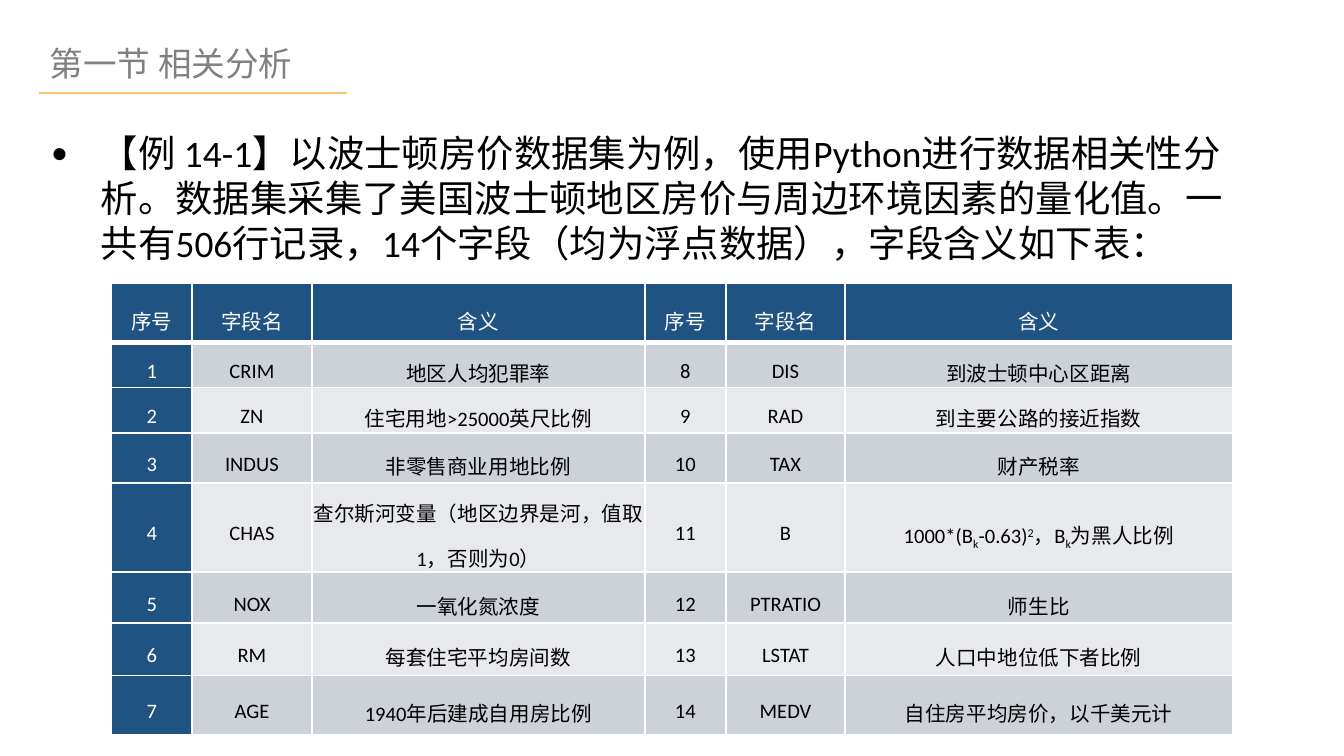
"""Build the Boston housing field table slide."""
from dataclasses import dataclass

from lxml import etree
from pptx import Presentation
from pptx.dml.color import RGBColor
from pptx.enum.shapes import MSO_CONNECTOR
from pptx.enum.text import MSO_ANCHOR, MSO_AUTO_SIZE, PP_ALIGN
from pptx.oxml.ns import qn
from pptx.util import Inches, Pt

STRAIGHT = MSO_CONNECTOR.STRAIGHT
TOP, MIDDLE = MSO_ANCHOR.TOP, MSO_ANCHOR.MIDDLE
LEFT, CENTER = PP_ALIGN.LEFT, PP_ALIGN.CENTER
NO_FIT = MSO_AUTO_SIZE.NONE
NAVY, WHITE, BLACK = "205381", "FFFFFF", "000000"
BANDS = ("CDD1D8", "E8E9ED")
COLS = (0.6, 0.89, 2.48, 0.6, 0.89, 2.88)
ROWS = (0.44, 0.33, 0.34, 0.37, 0.65, 0.38, 0.39, 0.44)
HEADER = ("序号", "字段名", "含义")
SUB, SUPER = -25, 30
FORMULA = (("1000*(B", 0), ("k", SUB), ("-0.63)", 0), ("2", SUPER),
           ("，B", 0), ("k", SUB), ("为黑人比例", 0))


@dataclass
class Field:
    name: str
    meaning: str | tuple


@dataclass
class Block:
    text: str
    box: tuple
    font: str
    size: float
    color: str
    margins: tuple
    anchor: MSO_ANCHOR
    wrap: bool


FIELDS = [
    Field("CRIM", "地区人均犯罪率"),
    Field("ZN", "住宅用地>25000英尺比例"),
    Field("INDUS", "非零售商业用地比例"),
    Field("CHAS", "查尔斯河变量（地区边界是河，值取1，否则为0）"),
    Field("NOX", "一氧化氮浓度"),
    Field("RM", "每套住宅平均房间数"),
    Field("AGE", "1940年后建成自用房比例"),
    Field("DIS", "到波士顿中心区距离"),
    Field("RAD", "到主要公路的接近指数"),
    Field("TAX", "财产税率"),
    Field("B", FORMULA),
    Field("PTRATIO", "师生比"),
    Field("LSTAT", "人口中地位低下者比例"),
    Field("MEDV", "自住房平均房价，以千美元计"),
]
TITLE = Block("第一节 相关分析", (0.29, 0.28, 2.04, 0.38), "Noto Sans CJK SC", 18,
              "808080", (0.08, 0.04), MIDDLE, False)
BODY = Block("【例 14-1】以波士顿房价数据集为例，使用Python进行数据相关性分析。"
             "数据集采集了美国波士顿地区房价与周边环境因素的量化值。"
             "一共有506行记录，14个字段（均为浮点数据），字段含义如下表：",
             (0.28, 0.92, 9.13, 1.11), "Calibri", 20, BLACK, (0.1, 0.05), TOP, True)


def rgb(color: str) -> RGBColor:
    """Turn a hex string into a colour."""
    return RGBColor.from_string(color)


def set_attrs(obj, values: dict) -> None:
    """Set every attribute named in a dict."""
    for name, value in values.items():
        setattr(obj, name, value)


def set_font(font, name: str, size: float, color: str) -> None:
    """Format a font."""
    set_attrs(font, {"name": name, "size": Pt(size), "bold": False})
    font.color.rgb = rgb(color)


def margins(x: float, y: float) -> dict:
    """Give margin values for the four sides."""
    return {"margin_left": Inches(x), "margin_right": Inches(x),
            "margin_top": Inches(y), "margin_bottom": Inches(y)}


def fill_placeholder(sp, block: Block):
    """Place a placeholder, write its text and return the paragraph."""
    set_attrs(sp, dict(zip(("left", "top", "width", "height"), map(Inches, block.box))))
    tf = sp.text_frame
    set_attrs(tf, {"auto_size": NO_FIT, "word_wrap": block.wrap,
                   "vertical_anchor": block.anchor, **margins(*block.margins)})
    p = tf.paragraphs[0]
    set_attrs(p, {"alignment": LEFT, "space_before": Pt(0)})
    r = p.add_run()
    r.text = block.text
    set_font(r.font, block.font, block.size, block.color)
    return p


def add_bullet(p, char: str, percent: int, indent: float) -> None:
    """Give a paragraph a hanging bullet."""
    pPr = p._p.get_or_add_pPr()
    pPr.set("marL", str(Inches(indent)))
    pPr.set("indent", str(-Inches(indent)))
    etree.SubElement(pPr, qn("a:buSzPct")).set("val", str(percent * 1000))
    etree.SubElement(pPr, qn("a:buChar")).set("char", char)


def add_rule(s, x1: float, x2: float, y: float, color: str) -> None:
    """Draw the line under the title."""
    line = s.shapes.add_connector(STRAIGHT, Inches(x1), Inches(y), Inches(x2), Inches(y))
    line.line.color.rgb = rgb(color)
    line.line.width = Pt(1)
    etree.SubElement(line._element.spPr, qn("a:effectLst"))


def set_borders(cell, widths: dict) -> None:
    """Draw white borders of the given widths."""
    tcPr = cell._tc.get_or_add_tcPr()
    for side, width in widths.items():
        ln = etree.SubElement(tcPr, qn(f"a:ln{side}"), w=str(Pt(width)))
        fill = etree.SubElement(ln, qn("a:solidFill"))
        etree.SubElement(fill, qn("a:srgbClr")).set("val", WHITE)


def fill_cell(cell, content: str | tuple, row: int, col: int) -> None:
    """Write and format one table cell."""
    dark = row == 0 or col == 0
    set_borders(cell, {"L": 1, "R": 1, "T": 3 if row == 1 else 1, "B": 1 if row else 3})
    cell.fill.solid()
    cell.fill.fore_color.rgb = rgb(NAVY if dark else BANDS[(row - 1) % 2])
    set_attrs(cell, {"vertical_anchor": MIDDLE, **margins(0, 0)})
    p = cell.text_frame.paragraphs[0]
    set_attrs(p, {"alignment": CENTER, "line_spacing": 1.5})
    for text, base in ((content, 0),) if isinstance(content, str) else content:
        r = p.add_run()
        r.text = text
        set_font(r.font, "Calibri", 11, WHITE if dark else BLACK)
        if base:
            r._r.get_or_add_rPr().set("baseline", str(base * 1000))


def add_field_table(s) -> None:
    """Add the table with two fields side by side in each row."""
    table = s.shapes.add_table(len(ROWS), len(COLS), Inches(0.83), Inches(2.11),
                               Inches(sum(COLS)), Inches(sum(ROWS))).table
    for column, width in zip(table.columns, COLS):
        column.width = Inches(width)
    for row, height in zip(table.rows, ROWS):
        row.height = Inches(height)
    entries = [(str(n), f.name, f.meaning) for n, f in enumerate(FIELDS, 1)]
    half = len(entries) // 2
    lines = [HEADER * 2] + [a + b for a, b in zip(entries[:half], entries[half:])]
    for i, line in enumerate(lines):
        for j, content in enumerate(line):
            fill_cell(table.cell(i, j), content, i, j)


def main() -> None:
    """Build and save the slide."""
    prs = Presentation()
    set_attrs(prs, {"slide_width": Inches(10), "slide_height": Inches(10) * 9 // 16})
    s = prs.slides.add_slide(prs.slide_layouts[1])
    fill_placeholder(s.shapes.title, TITLE)
    add_rule(s, 0.29, 2.58, 0.69, "FFC56C")
    p = fill_placeholder(s.placeholders[1], BODY)
    add_bullet(p, "●", 75, 0.37)
    add_field_table(s)
    prs.save("out.pptx")


if __name__ == "__main__":
    main()
